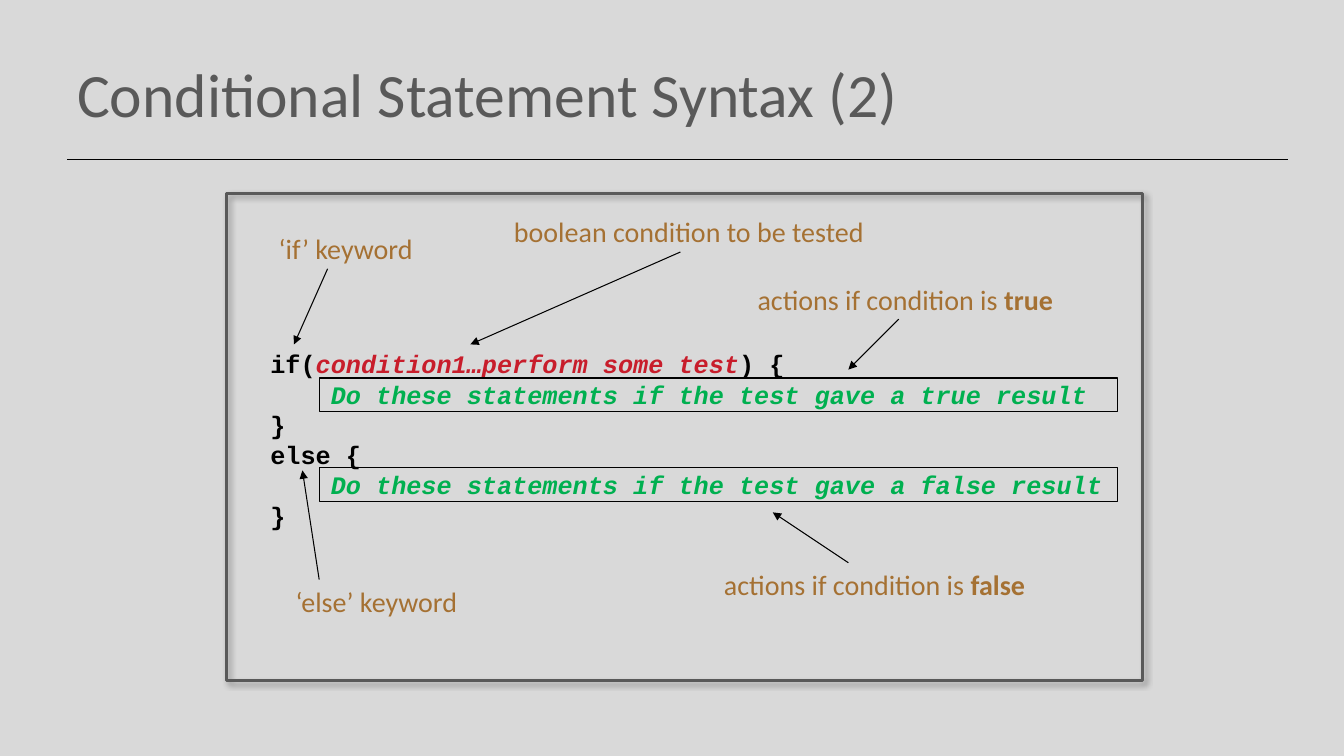
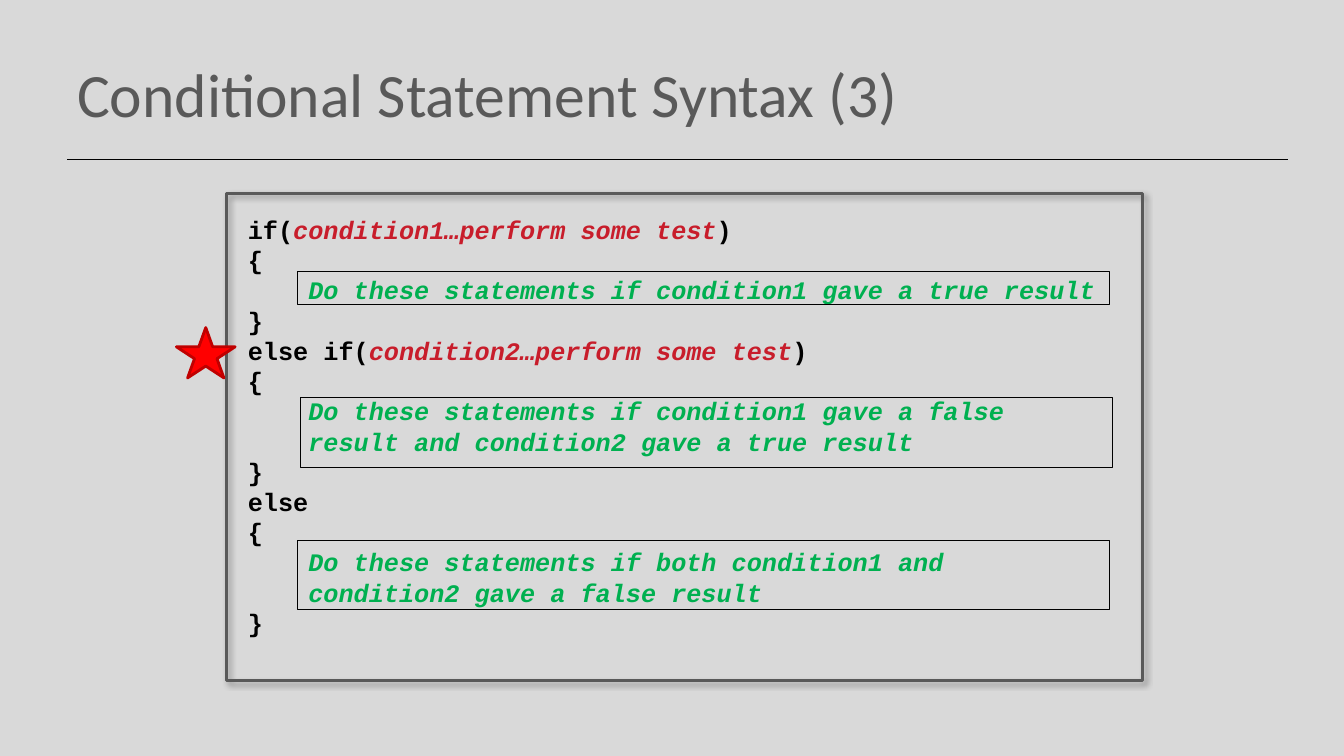
from dataclasses import dataclass

from lxml import etree
from pptx import Presentation
from pptx.dml.color import RGBColor
from pptx.enum.shapes import MSO_CONNECTOR, MSO_SHAPE
from pptx.enum.text import MSO_ANCHOR
from pptx.oxml.ns import qn
from pptx.util import Pt

STRAIGHT = MSO_CONNECTOR.STRAIGHT
RECTANGLE = MSO_SHAPE.RECTANGLE
STAR = MSO_SHAPE.STAR_5_POINT
MIDDLE = MSO_ANCHOR.MIDDLE
TOP = MSO_ANCHOR.TOP


@dataclass(frozen=True)
class Theme:
    background: str = "D9D9D9"
    gray: str = "595959"
    black: str = "000000"
    condition: str = "C81D2B"
    action: str = "00B050"
    label: str = "A57133"
    star: str = "FF0000"
    star_edge: str = "C00000"
    text_font: str = "Calibri"
    code_font: str = "Courier New"
    title_size: float = 44
    label_size: float = 20
    code_size: float = 18
    code_spacing: float = 21.6


THEME = Theme()
INDENT = "    "
CODE_WIDTH = 640
TEST_1 = ("condition1…perform some test", THEME.condition)
TEST_2 = ("condition2…perform some test", THEME.condition)


def plain(text):
    return (text, THEME.black)


def action(text):
    return [plain(INDENT), (text, THEME.action)]


def add_text_box(slide, left, top, width, height, anchor=TOP):
    shape = slide.shapes.add_textbox(Pt(left), Pt(top), Pt(width), Pt(height))
    frame = shape.text_frame
    frame.word_wrap = True
    frame.vertical_anchor = anchor
    return frame


def add_run(paragraph, text, font, size, color, bold=False, italic=False):
    run = paragraph.add_run()
    run.text = text
    run.font.name = font
    run.font.size = Pt(size)
    run.font.color.rgb = RGBColor.from_string(color)
    run.font.bold = bold
    run.font.italic = italic


def add_line(slide, start, end, weight, arrow=False):
    connector = slide.shapes.add_connector(STRAIGHT, *map(Pt, start + end))
    connector.line.color.rgb = RGBColor.from_string(THEME.black)
    connector.line.width = Pt(weight)
    if arrow:
        outline = connector.line._get_or_add_ln()
        etree.SubElement(outline, qn("a:tailEnd"), type="triangle")
    etree.SubElement(connector._element.spPr, qn("a:effectLst"))


def add_shape(slide, kind, left, top, width, height, line, weight, fill=None):
    shape = slide.shapes.add_shape(kind, Pt(left), Pt(top), Pt(width), Pt(height))
    shape.shadow.inherit = False
    if fill:
        shape.fill.solid()
        shape.fill.fore_color.rgb = RGBColor.from_string(fill)
    else:
        shape.fill.background()
    shape.line.color.rgb = RGBColor.from_string(line)
    shape.line.width = Pt(weight)
    return shape


def add_action_box(slide, left, top, width, height):
    add_shape(slide, RECTANGLE, left, top, width, height, THEME.black, 0.75)


def add_code_frame(slide):
    shape = add_shape(slide, RECTANGLE, 162, 138, 654, 348, THEME.gray, 2)
    effects = shape._element.spPr.find(qn("a:effectLst"))
    shadow = etree.SubElement(
        effects, qn("a:outerShdw"), blurRad=str(Pt(4)), dist=str(Pt(3)),
        dir="2700000", algn="tl", rotWithShape="0")
    color = etree.SubElement(shadow, qn("a:srgbClr"), val=THEME.black)
    etree.SubElement(color, qn("a:alpha"), val="40000")


def add_code(slide, left, top, height, lines):
    frame = add_text_box(slide, left, top, CODE_WIDTH, height)
    for index, runs in enumerate(lines):
        paragraph = frame.add_paragraph() if index else frame.paragraphs[0]
        paragraph.line_spacing = Pt(THEME.code_spacing)
        for text, color in runs:
            add_run(paragraph, text, THEME.code_font, THEME.code_size, color,
                    bold=True, italic=color != THEME.black)


def add_label(slide, left, top, width, text, emphasis=None):
    paragraph = add_text_box(slide, left, top, width, 31.5).paragraphs[0]
    style = (THEME.text_font, THEME.label_size, THEME.label)
    add_run(paragraph, text, *style)
    if emphasis:
        add_run(paragraph, emphasis, *style, bold=True)


def add_titled_slide(presentation, title):
    slide = presentation.slides.add_slide(presentation.slide_layouts[6])
    add_line(slide, (48, 114), (920, 114), 1)
    frame = add_text_box(slide, 48, 21.6, 864, 90, MIDDLE)
    add_run(frame.paragraphs[0], title, THEME.text_font, THEME.title_size, THEME.gray)
    return slide


def build_if_else(presentation):
    slide = add_titled_slide(presentation, "Conditional Statement Syntax (2)")
    add_code(slide, 186, 245.5, 137, [
        [plain("if("), TEST_1, plain(") {")],
        action("Do these statements if the test gave a true result"),
        [plain("}")],
        [plain("else {")],
        action("Do these statements if the test gave a false result"),
        [plain("}")],
    ])
    for label in [
        (192, 162, 125, "‘if’ keyword"),
        (360, 150, 300, "boolean condition to be tested"),
        (534, 198, 240, "actions if condition is ", "true"),
        (510, 402, 264, "actions if condition is ", "false"),
        (204, 414, 145, "‘else’ keyword"),
    ]:
        add_label(slide, *label)
    for start, end in [
        ((234, 192), (210, 246)),
        ((228, 414), (216, 336)),
        ((486, 180), (336, 246)),
        ((642, 228), (606, 264)),
        ((606, 402), (552, 366)),
    ]:
        add_line(slide, start, end, 0.75, arrow=True)
    for top in (270, 334):
        add_action_box(slide, 228, top, 570, 24)
    add_code_frame(slide)


def build_else_if(presentation):
    slide = add_titled_slide(presentation, "Conditional Statement Syntax (3)")
    add_code(slide, 170, 149.4, 312, [
        [plain("if("), TEST_1, plain(")")],
        [plain("{")],
        action("Do these statements if condition1 gave a true result"),
        [plain("}")],
        [plain("else if("), TEST_2, plain(")")],
        [plain("{")],
        action("Do these statements if condition1 gave a false"),
        action("result and condition2 gave a true result"),
        [plain("}")],
        [plain("else")],
        [plain("{")],
        action("Do these statements if both condition1 and"),
        action("condition2 gave a false result"),
        [plain("}")],
    ])
    for left, top, height in [(212.5, 193.7, 24), (214.5, 284, 50), (212.5, 386, 49.5)]:
        add_action_box(slide, left, top, 580, height)
    add_code_frame(slide)
    add_shape(slide, STAR, 126, 234, 42, 36, THEME.star_edge, 2, THEME.star)


def main():
    presentation = Presentation()
    presentation.slide_width = Pt(960)
    presentation.slide_height = Pt(540)
    background = presentation.slide_master.background.fill
    background.solid()
    background.fore_color.rgb = RGBColor.from_string(THEME.background)
    build_if_else(presentation)
    build_else_if(presentation)
    presentation.save("out.pptx")


if __name__ == "__main__":
    main()
